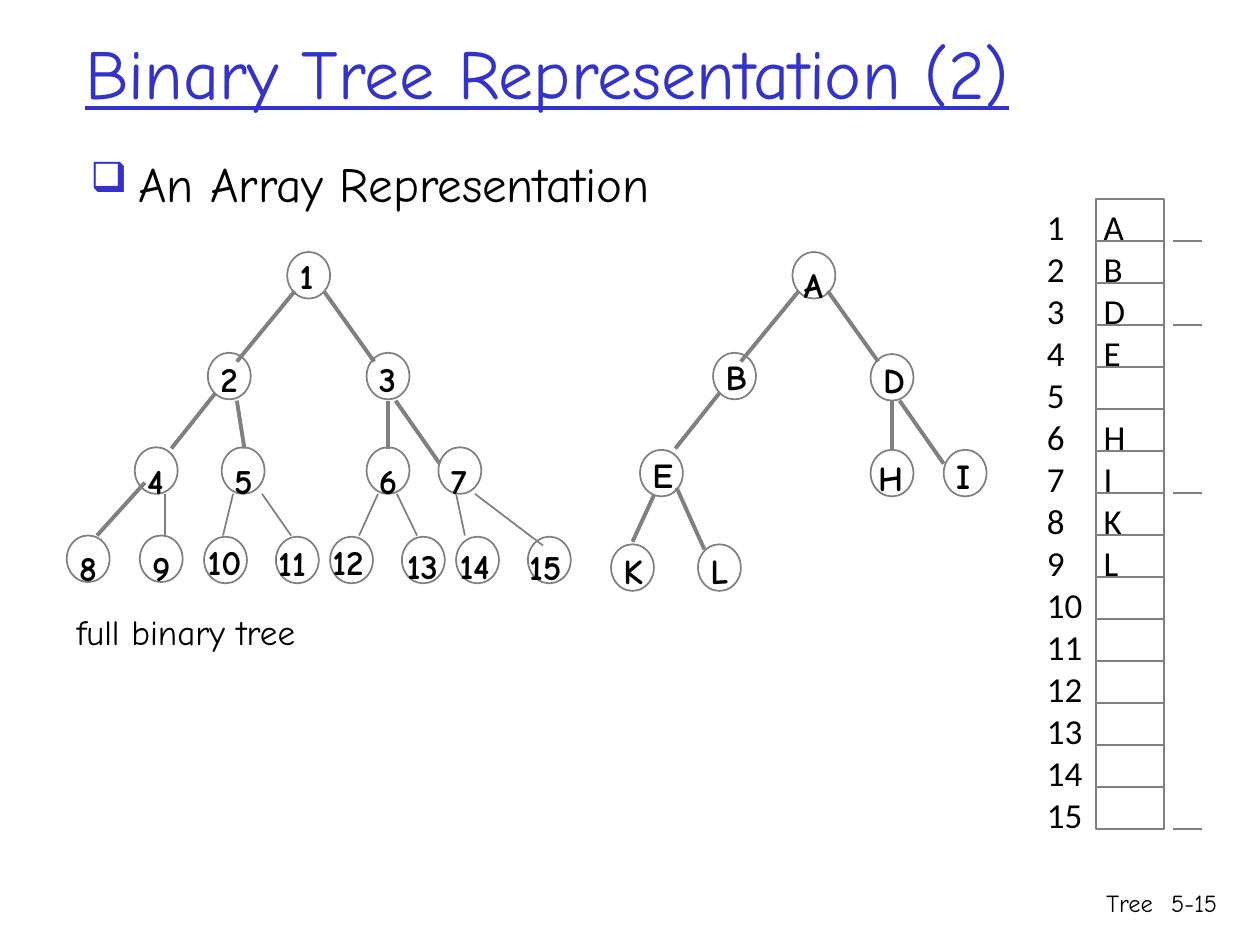
from lxml import etree
from pptx import Presentation
from pptx.dml.color import RGBColor
from pptx.enum.shapes import MSO_CONNECTOR, MSO_SHAPE
from pptx.enum.text import MSO_ANCHOR, MSO_AUTO_SIZE, PP_ALIGN
from pptx.oxml.ns import qn
from pptx.util import Inches, Pt

BLACK = RGBColor(0x00, 0x00, 0x00)
GRAY = RGBColor(0x80, 0x80, 0x80)
BLUE = RGBColor(0x33, 0x33, 0xCC)
HAND_FONT = "Comic Neue"
ARRAY_FONT = "Calibri"
ELLIPSE, RECTANGLE = MSO_SHAPE.OVAL, MSO_SHAPE.RECTANGLE
STRAIGHT = MSO_CONNECTOR.STRAIGHT
RIGHT = PP_ALIGN.RIGHT
MIDDLE = MSO_ANCHOR.MIDDLE
FIT_TEXT = MSO_AUTO_SIZE.SHAPE_TO_FIT_TEXT

NODE_WIDTH, NODE_HEIGHT = 0.34, 0.37
THICK, THIN = 2.25, 1

# label, node left, node top, label left, label top, label width
NUMBERED_NODES = [
    ("1", 2.28, 2, 2.28, 1.97, 0.37),
    ("2", 1.65, 2.8, 1.65, 2.79, 0.37),
    ("3", 2.91, 2.8, 2.91, 2.79, 0.37),
    ("4", 1.07, 3.55, 1.07, 3.6, 0.37),
    ("5", 1.76, 3.55, 1.76, 3.6, 0.37),
    ("6", 2.91, 3.55, 2.91, 3.6, 0.37),
    ("7", 3.48, 3.55, 3.48, 3.6, 0.37),
    ("8", 0.53, 4.25, 0.53, 4.29, 0.37),
    ("9", 1.11, 4.25, 1.11, 4.29, 0.37),
    ("10", 1.62, 4.26, 1.55, 4.24, 0.55),
    ("11", 2.19, 4.26, 2.11, 4.25, 0.55),
    ("12", 2.62, 4.26, 2.54, 4.24, 0.55),
    ("13", 3.19, 4.26, 3.13, 4.27, 0.55),
    ("14", 3.62, 4.26, 3.55, 4.27, 0.55),
    ("15", 4.19, 4.26, 4.1, 4.28, 0.55),
]
LETTERED_NODES = [
    ("A", 6.29, 2, 6.28, 2.04, 0.41),
    ("B", 5.66, 2.8, 5.66, 2.77, 0.38),
    ("D", 6.91, 2.81, 6.91, 2.8, 0.41),
    ("E", 5.08, 3.57, 5.08, 3.55, 0.39),
    ("H", 6.91, 3.57, 6.87, 3.57, 0.42),
    ("I", 7.49, 3.57, 7.49, 3.56, 0.35),
    ("K", 4.85, 4.32, 4.85, 4.31, 0.37),
    ("L", 5.54, 4.32, 5.54, 4.31, 0.36),
]

# Edges are x1, y1, x2, y2; the shared ones occur in both trees.
LETTERED_OFFSET = 4
SHARED_EDGES = [
    (2.34, 2.31, 1.88, 2.87),
    (2.57, 2.31, 2.97, 2.87),
    (1.71, 3.12, 1.36, 3.56),
    (3.08, 3.18, 3.08, 3.56),
    (3.14, 3.18, 3.49, 3.68),
]
NUMBERED_EDGES = [(1.88, 3.18, 1.94, 3.56), (1.15, 3.83, 0.77, 4.25)]
LETTERED_EDGES = [(5.19, 3.93, 5.02, 4.3), (5.37, 3.87, 5.59, 4.36)]
LEAF_EDGES = [
    (1.31, 3.92, 1.31, 4.25),
    (1.85, 3.92, 1.77, 4.25),
    (2.08, 3.92, 2.31, 4.25),
    (3, 3.92, 2.85, 4.25),
    (3.15, 3.92, 3.31, 4.25),
    (3.62, 3.92, 3.69, 4.25),
    (3.77, 3.92, 4.31, 4.33),
]

ARRAY_VALUES = ["A", "B", "D", "E", "", "H", "I", "K", "L"] + [""] * 6
ARRAY_TOP = 1.58
CELL_HEIGHT = 1 / 3
LEVEL_ENDS = [1, 3, 7, 15]


def add_text(slide, text, left, top, width, height, size=20, font=HAND_FONT,
             color=BLACK, bold=False, wrap=True):
    box = slide.shapes.add_textbox(Inches(left), Inches(top), Inches(width), Inches(height))
    frame = box.text_frame
    frame.word_wrap = wrap
    if not wrap:
        frame.auto_size = FIT_TEXT
    frame.text = text
    for paragraph in frame.paragraphs:
        for run in paragraph.runs:
            run.font.name = font
            run.font.size = Pt(size)
            run.font.bold = bold
            run.font.color.rgb = color
    return frame


def add_outline(slide, preset, left, top, width, height):
    outline = slide.shapes.add_shape(
        preset, Inches(left), Inches(top), Inches(width), Inches(height))
    outline.shadow.inherit = False
    outline.fill.background()
    outline.line.color.rgb = GRAY
    outline.line.width = Pt(THIN)


def add_line(slide, x1, y1, x2, y2, weight):
    line = slide.shapes.add_connector(
        STRAIGHT, Inches(x1), Inches(y1), Inches(x2), Inches(y2))
    line.line.color.rgb = GRAY
    line.line.width = Pt(weight)
    etree.SubElement(line._element.spPr, qn("a:effectLst"))


def set_hanging_indent(paragraph, indent):
    properties = paragraph._p.get_or_add_pPr()
    properties.set("marL", str(Inches(indent)))
    properties.set("indent", str(-Inches(indent)))
    return properties


def add_heading(slide):
    title = add_text(slide, "Binary Tree Representation (2)", 0.58, 0.25, 8.5, 0.63,
                     size=40, color=BLUE)
    title.vertical_anchor = MIDDLE
    title.paragraphs[0].runs[0].font.underline = True

    topic = add_text(slide, "An Array Representation", 0.62, 1.17, 8.5, 0.58, size=28)
    properties = set_hanging_indent(topic.paragraphs[0], 0.38)
    bullet_color = etree.SubElement(properties, qn("a:buClr"))
    etree.SubElement(bullet_color, qn("a:srgbClr"), val=str(BLUE))
    etree.SubElement(properties, qn("a:buSzPct"), val="85000")
    etree.SubElement(properties, qn("a:buChar"), char="❑")


def add_nodes(slide, nodes):
    for label, left, top, label_left, label_top, label_width in nodes:
        add_outline(slide, ELLIPSE, left, top, NODE_WIDTH, NODE_HEIGHT)
        add_text(slide, label, label_left, label_top, label_width, 0.44,
                 bold=True, wrap=False)


def add_edges(slide, edges, weight, offset=0):
    for x1, y1, x2, y2 in edges:
        add_line(slide, x1 + offset, y1, x2 + offset, y2, weight)


def add_array(slide):
    """Draw the cells, their indexes and values, and a tick below each tree level."""
    for row in range(len(ARRAY_VALUES)):
        add_outline(slide, RECTANGLE, 8.7, ARRAY_TOP + row * CELL_HEIGHT, 0.54, CELL_HEIGHT)

    rows = [f"{index}\t{value}" if value else str(index)
            for index, value in enumerate(ARRAY_VALUES, start=1)]
    listing = add_text(slide, "\n".join(rows), 8.21, ARRAY_TOP, 1.05, 5.49, font=ARRAY_FONT)
    for paragraph in listing.paragraphs:
        set_hanging_indent(paragraph, 0.45)
        paragraph.line_spacing = Pt(24)

    for index in LEVEL_ENDS:
        tick_y = ARRAY_TOP + index * CELL_HEIGHT
        add_line(slide, 9.31, tick_y, 9.54, tick_y, THIN)


def add_footer(slide):
    for text, left, width in (("Tree", 6.08, 3.17), ("5-15", 9.08, 0.68)):
        footer = add_text(slide, text, left, 7, width, 0.5, size=14)
        footer.paragraphs[0].alignment = RIGHT


def main():
    deck = Presentation()
    deck.slide_width, deck.slide_height = Inches(10), Inches(7.5)
    slide = deck.slides.add_slide(deck.slide_layouts[6])

    add_footer(slide)
    add_heading(slide)
    add_text(slide, "full binary tree", 0.51, 4.8, 2.2, 0.44, wrap=False)
    add_nodes(slide, NUMBERED_NODES)
    add_edges(slide, SHARED_EDGES + NUMBERED_EDGES, THICK)
    add_edges(slide, LEAF_EDGES, THIN)
    add_nodes(slide, LETTERED_NODES)
    add_edges(slide, SHARED_EDGES, THICK, LETTERED_OFFSET)
    add_edges(slide, LETTERED_EDGES, THICK)
    add_array(slide)
    deck.save("out.pptx")


if __name__ == "__main__":
    main()
